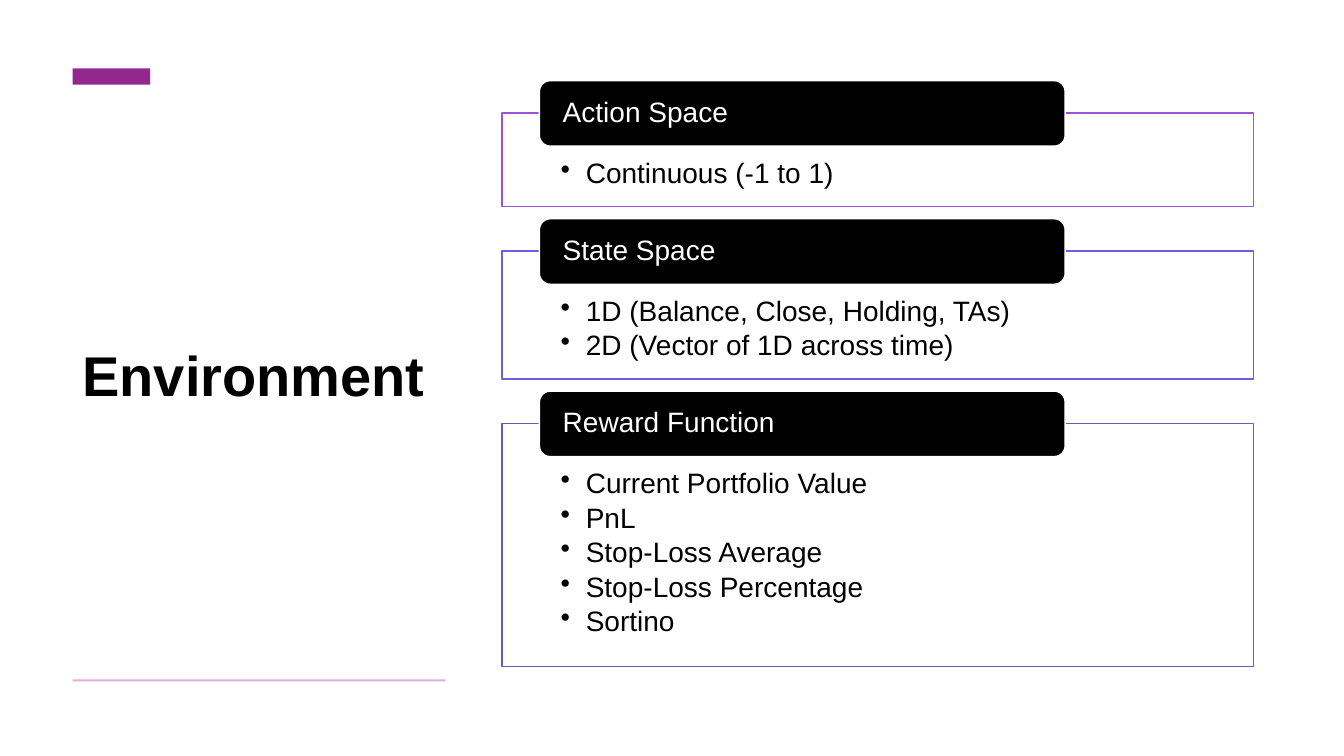
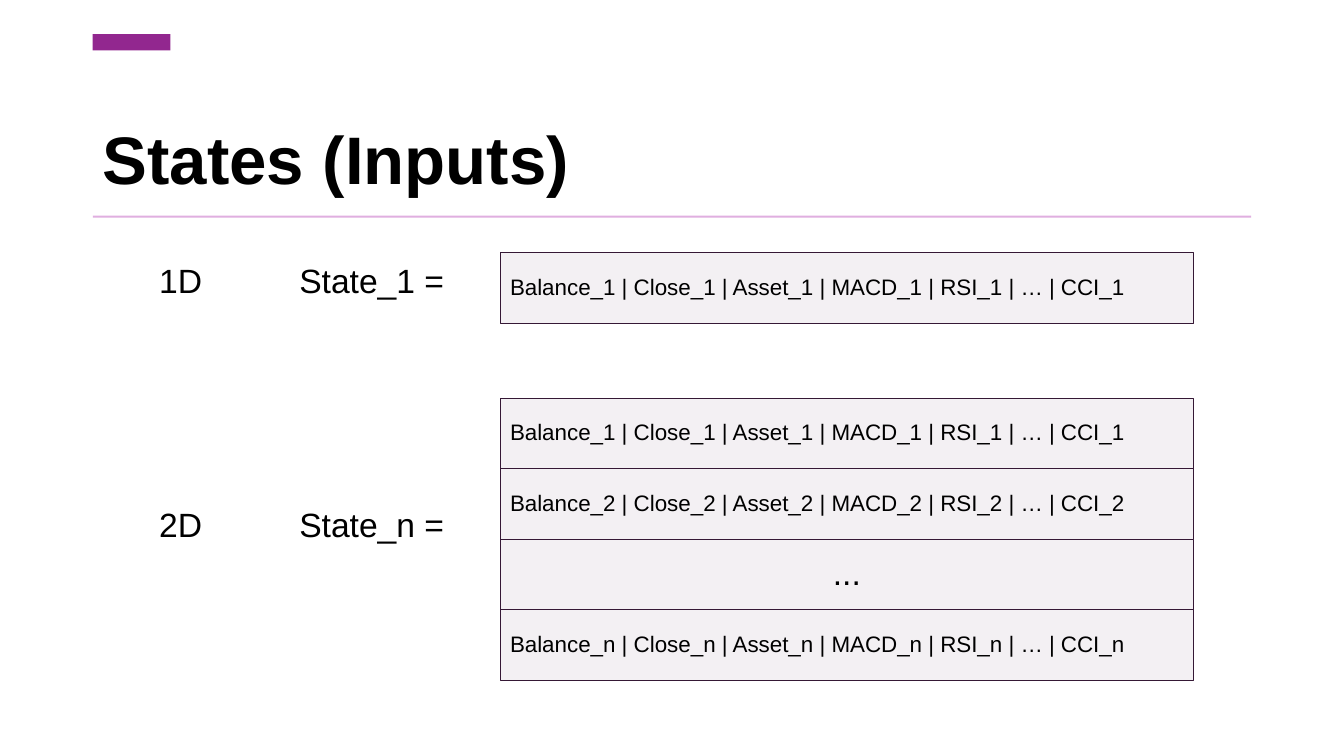
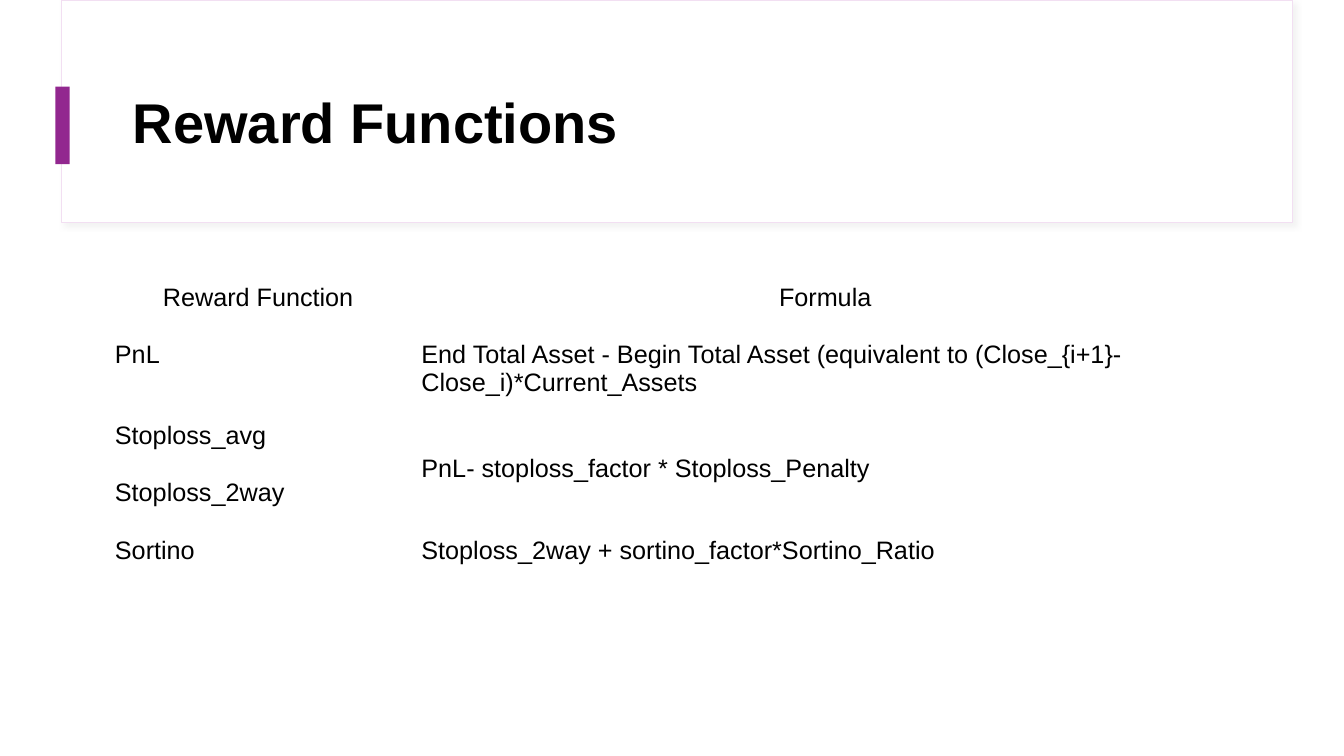
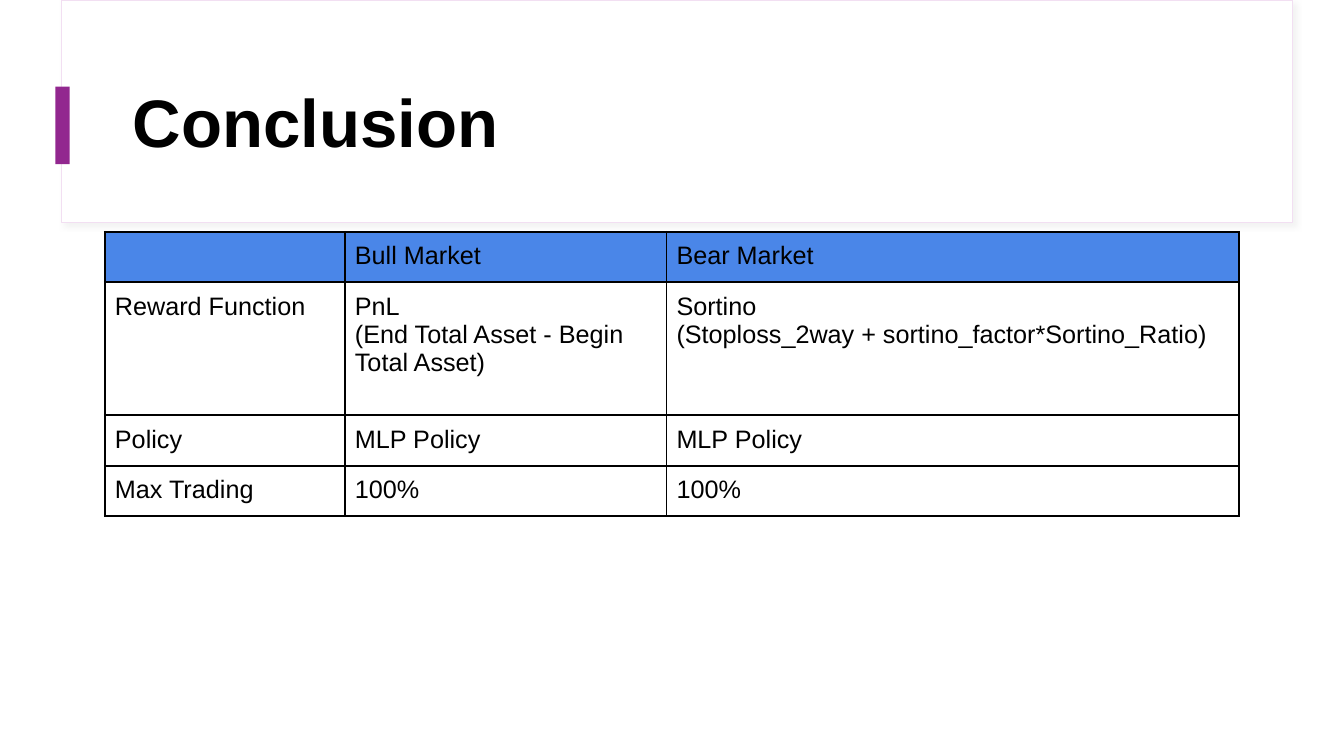
from lxml.etree import SubElement
from pptx import Presentation
from pptx.dml.color import RGBColor
from pptx.enum.shapes import MSO_SHAPE
from pptx.enum.text import MSO_ANCHOR, PP_ALIGN
from pptx.oxml import parse_xml
from pptx.oxml.ns import nsdecls, qn
from pptx.util import Inches, Pt

FONT = "Arial"
COLORS = {
    "ink": "000000", "paper": "FFFFFF", "accent": "92278F", "rule": "E0AFE0",
    "band": "F2DFF2", "shade": "D8D8D8", "cell": "F3F0F3", "edge": "351835",
    "head": "4A86E8", "violet": "9B55D2", "indigo": "735BD9", "slate": "655DB7",
}


def rgb(name):
    return RGBColor.from_string(COLORS[name])


def inches(*values):
    return [Inches(v) for v in values]


def say(frame, text, size, color="ink", bold=False, align=PP_ALIGN.LEFT,
        space=0.9, before=0, bullet=False):
    """Write one paragraph for each line of text."""
    frame.word_wrap = True
    for i, line in enumerate(text.split("\n")):
        para = frame.add_paragraph() if i else frame.paragraphs[0]
        para.alignment = align
        para.line_spacing = space
        para.space_before = Pt(before if i else 0)
        if bullet:
            props = para._p.get_or_add_pPr()
            props.set("marL", str(Inches(0.25)))
            props.set("indent", str(Inches(-0.25)))
            SubElement(props, qn("a:buChar")).set("char", "•")
        if line:
            run = para.add_run()
            run.text = line
            font = run.font
            font.name, font.size, font.bold = FONT, Pt(size), bold
            font.color.rgb = rgb(color)


def pad(frame, left, top, right, bottom, anchor=MSO_ANCHOR.TOP):
    frame.margin_left, frame.margin_top = inches(left, top)
    frame.margin_right, frame.margin_bottom = inches(right, bottom)
    frame.vertical_anchor = anchor


def block(slide, box, fill, line=None, width=1, kind=MSO_SHAPE.RECTANGLE):
    shape = slide.shapes.add_shape(kind, *inches(*box))
    shape.shadow.inherit = False
    shape.fill.solid()
    shape.fill.fore_color.rgb = rgb(fill)
    if line:
        shape.line.color.rgb = rgb(line)
        shape.line.width = Pt(width)
    else:
        shape.line.fill.background()
    return shape


def label(slide, box, text, size, inset=0.1, anchor=MSO_ANCHOR.TOP, bold=False):
    frame = slide.shapes.add_textbox(*inches(*box)).text_frame
    pad(frame, 0.1, inset, 0.1, inset, anchor)
    say(frame, text, size, bold=bold)


def title(slide, box, text, size, anchor=MSO_ANCHOR.MIDDLE):
    label(slide, box, text, size, 0.05, anchor, True)


def ruled(slide, box, text, size, tab, rule, anchor):
    """Title with an accent bar above it and a thin rule below it."""
    left, _, width, _ = box
    title(slide, box, text, size, anchor)
    block(slide, (left, tab, 0.77, 0.16), "accent")
    block(slide, (left, rule, width, 0.02), "rule")


def banner(slide, text, size):
    """Shadowed band at the top with an accent bar and a title."""
    band = block(slide, (0.61, 0, 12.21, 2.21), "paper", "band", 0.75)
    effects = band._element.spPr.find(qn("a:effectLst"))
    effects.append(parse_xml(
        f'<a:outerShdw {nsdecls("a")} blurRad="{Pt(4)}" dist="{Pt(3)}" '
        f'dir="2700000" algn="tl" rotWithShape="0">'
        f'<a:srgbClr val="{COLORS["shade"]}"><a:alpha val="30000"/>'
        f'</a:srgbClr></a:outerShdw>'))
    block(slide, (0.55, 0.86, 0.14, 0.77), "accent")
    title(slide, (1.22, 0.6, 11.12, 1.29), text, size)


def panel(slide, box, head, items, color):
    """Outlined list with a black heading on its top edge."""
    left, top, width, _ = box
    frame = block(slide, box, "paper", color).text_frame
    pad(frame, 0.58, 0.46, 0.58, 0.16)
    say(frame, items, 20, before=3, bullet=True)
    tab = block(slide, (left + 0.37, top - 0.32, width * 0.7, 0.65), "ink",
                "paper", kind=MSO_SHAPE.ROUNDED_RECTANGLE)
    pad(tab.text_frame, 0.2, 0, 0.2, 0, MSO_ANCHOR.MIDDLE)
    say(tab.text_frame, head, 20, "paper")


def stack(slide, left, top, rows):
    """State vectors, one below the other; a bare ellipsis is centred."""
    high = 0.7
    for i, text in enumerate(rows):
        box = (left, top + i * high, 6.88, high)
        frame = block(slide, box, "cell", "edge", 0.75).text_frame
        pad(frame, 0.1, 0.1, 0.1, 0.1, MSO_ANCHOR.MIDDLE)
        if text == "...":
            say(frame, text, 24, align=PP_ALIGN.CENTER)
        else:
            say(frame, text, 16)


def border(cell):
    props = cell._tc.get_or_add_tcPr()
    for side in ("lnL", "lnR", "lnT", "lnB"):
        props.append(parse_xml(
            f'<a:{side} {nsdecls("a")} w="{Pt(1.5)}"><a:solidFill>'
            f'<a:srgbClr val="{COLORS["ink"]}"/></a:solidFill></a:{side}>'))


def grid(slide, left, top, cols, highs, rows, lined=False):
    """Table whose head row is filled if lined, and centred if not."""
    box = inches(left, top, sum(cols), sum(highs))
    table = slide.shapes.add_table(len(rows), len(cols), *box).table
    table.first_row = table.horz_banding = False
    for col, width in zip(table.columns, cols):
        col.width = Inches(width)
    for i, (row, high) in enumerate(zip(rows, highs)):
        table.rows[i].height = Inches(high)
        for j, text in enumerate(row):
            cell = table.cell(i, j)
            pad(cell, 0.1, 0.1, 0.1, 0.1)
            if lined:
                border(cell)
            if lined and i == 0:
                cell.fill.solid()
                cell.fill.fore_color.rgb = rgb("head")
            else:
                cell.fill.background()
            mid = i == 0 and not lined
            say(cell.text_frame, text, 18, space=1.0,
                align=PP_ALIGN.CENTER if mid else PP_ALIGN.LEFT)
    return table


def setting(slide):
    ruled(slide, (0.72, 1.05, 3.7, 5.41), "Environment", 40, 0.68, 6.74,
          MSO_ANCHOR.MIDDLE)
    top = 1.12
    for head, items, high, color in (
        ("Action Space", "Continuous (-1 to 1)", 0.93, "violet"),
        ("State Space", "1D (Balance, Close, Holding, TAs)\n"
         "2D (Vector of 1D across time)", 1.27, "indigo"),
        ("Reward Function", "Current Portfolio Value\nPnL\nStop-Loss Average\n"
         "Stop-Loss Percentage\nSortino", 2.41, "slate"),
    ):
        panel(slide, (4.98, top, 7.45, high), head, items, color)
        top += high + 0.44


def states(slide):
    ruled(slide, (0.92, 0.75, 11.49, 1.27), "States (Inputs)", 48, 0.34, 2.14,
          MSO_ANCHOR.BOTTOM)

    def vector(n):
        names = ("Balance", "Close", "Asset", "MACD", "RSI")
        return " | ".join([f"{name}_{n}" for name in names] + ["…", f"CCI_{n}"])

    for size, name, high, top, rows in (
        ("1D", "State_1 =", 2.52, 2.51, [vector(1)]),
        ("2D", "State_n =", 4.94, 3.95,
         [vector(1), vector(2), "...", vector("n")]),
    ):
        label(slide, (1.48, high, 0.82, 0.69), size, 24)
        label(slide, (2.87, high, 2.09, 0.69), name, 24)
        stack(slide, 4.96, top, rows)


def rewards(slide):
    banner(slide, "Reward Functions", 40)
    table = grid(slide, 1.04, 2.71, (3.04, 8.21), (0.57, 0.76, 0.57, 0.57, 0.57), (
        ("Reward Function", "Formula"),
        ("PnL", "End Total Asset - Begin Total Asset (equivalent to "
         "(Close_{i+1}-Close_i)*Current_Assets"),
        ("Stoploss_avg", "PnL- stoploss_factor * Stoploss_Penalty"),
        ("Stoploss_2way", ""),
        ("Sortino", "Stoploss_2way + sortino_factor*Sortino_Ratio"),
    ))
    shared = table.cell(2, 1)
    shared.merge(table.cell(3, 1))
    shared.vertical_anchor = MSO_ANCHOR.MIDDLE


def ending(slide):
    banner(slide, "Conclusion", 48)
    grid(slide, 1.04, 2.3, (2.38, 3.19, 5.68), (0.48, 1.32, 0.48, 0.48), (
        ("", "Bull Market", "Bear Market"),
        ("Reward Function", "PnL\n(End Total Asset - Begin Total Asset)",
         "Sortino\n(Stoploss_2way + sortino_factor*Sortino_Ratio)"),
        ("Policy", "MLP Policy", "MLP Policy"),
        ("Max Trading", "100%", "100%"),
    ), lined=True)


def main():
    deck = Presentation()
    deck.slide_width, deck.slide_height = inches(13.33, 7.5)
    for build in (setting, states, rewards, ending):
        build(deck.slides.add_slide(deck.slide_layouts[6]))
    deck.save("out.pptx")


if __name__ == "__main__":
    main()
